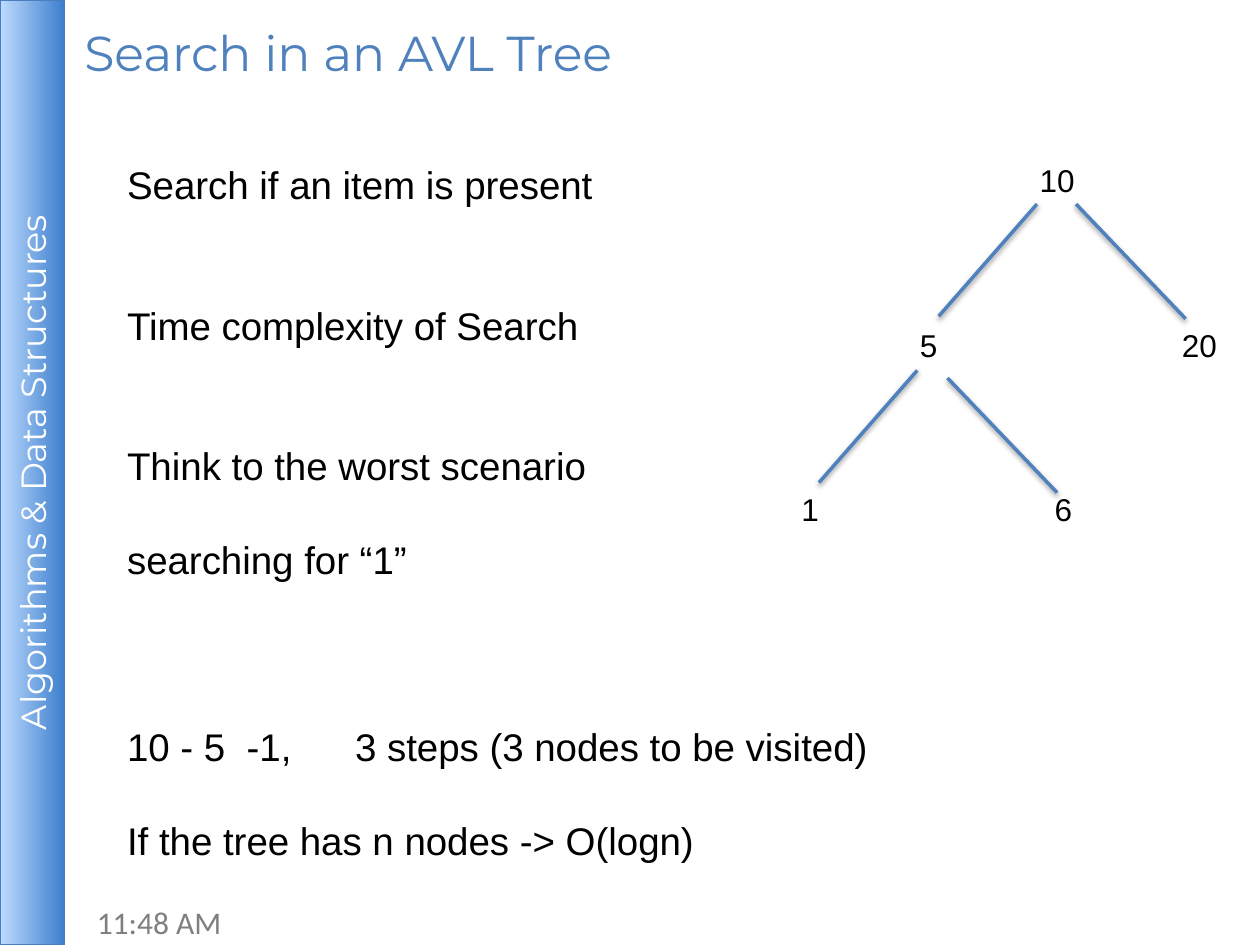
import pptx
import pptx.dml.color
import pptx.enum.shapes
import pptx.enum.text
import pptx.oxml
import pptx.oxml.ns
import pptx.util

ANCHOR = pptx.enum.text.MSO_ANCHOR
ALIGN = pptx.enum.text.PP_ALIGN
NAMESPACE = pptx.oxml.ns.nsdecls("a")
COLUMNS, ROWS = 100, 75
LINE_PITCH, LINE_HEIGHT = 26.4, 25.3

NODES = [("10", 83.9, 14.3), ("5", 73.7, 27.4), ("20", 95.2, 27.4),
         ("1", 64.3, 40.4), ("6", 84.4, 40.4)]
LEFT_BRANCH, RIGHT_BRANCH = (-7.8, 8.9), (8.7, 9.1)
EDGES = [(82.3, 16.2, LEFT_BRANCH), (85.4, 16.2, RIGHT_BRANCH),
         (72.8, 29.4, LEFT_BRANCH), (75.2, 30, RIGHT_BRANCH)]
STATEMENTS = [("Search if an item is present", 0),
              ("Time complexity of Search", 3),
              ("Think to the worst scenario", 3),
              ("searching for “1”", 2),
              ("10 - 5\t-1,\t3 steps (3 nodes to be visited)", 4),
              ("If the tree has n nodes -> O(logn)", 2)]
STEP_TABS = (0.95, 1.81)


def color(value):
    """Turn a hex string into a colour."""
    return pptx.dml.color.RGBColor.from_string(value)


class LectureSlide:
    """Hold the style and the current slide of the lecture."""

    accent, ink, muted, white = "4F81BD", "000000", "7F7F7F", "FFFFFF"
    body_font, heading_font, footer_font = "Arial", "Montserrat", "Calibri"

    def __init__(self, deck):
        """Start a title-only slide on the grid."""
        self.column = deck.slide_width / COLUMNS
        self.row = deck.slide_height / ROWS
        self.slide = deck.slides.add_slide(deck.slide_layouts[5])

    def place(self, left, top, width, height):
        """Convert grid units to slide lengths."""
        return (round(left * self.column), round(top * self.row),
                round(width * self.column), round(height * self.row))

    def style(self, paragraph, size, font, tint, align=ALIGN.LEFT):
        """Format a paragraph and its runs."""
        paragraph.alignment = align
        for run in paragraph.runs:
            run.font.size = pptx.util.Pt(size)
            run.font.name = font
            run.font.color.rgb = color(tint)

    def title(self, wording, *area):
        """Fill and move the title placeholder."""
        heading = self.slide.shapes.title
        heading.left, heading.top, heading.width, heading.height = self.place(*area)
        heading.text_frame.text = wording
        heading.text_frame.vertical_anchor = ANCHOR.MIDDLE
        self.style(heading.text_frame.paragraphs[0], 28, self.heading_font, self.accent)

    def band(self, wording, *area):
        """Draw the gradient side band with upward text."""
        band = self.slide.shapes.add_shape(
            pptx.enum.shapes.MSO_SHAPE.RECTANGLE, *self.place(*area))
        band.shadow.inherit = False
        band.fill.gradient()
        band.fill.gradient_angle = 0
        for stop, tint, position in zip(band.fill.gradient_stops, ("BDDBFE", "3E7FCD"), (0, 1)):
            stop.color.rgb = color(tint)
            stop.position = position
        band.line.color.rgb = color("4A7DBB")
        band.line.width = pptx.util.Pt(0.75)
        frame = band.text_frame
        frame.text = wording
        frame.vertical_anchor = ANCHOR.MIDDLE
        frame.margin_left = frame.margin_right = pptx.util.Inches(0.04)
        frame.margin_top = frame.margin_bottom = pptx.util.Inches(0.04)
        frame._txBody.bodyPr.set("vert", "vert270")
        self.style(frame.paragraphs[0], 20, self.heading_font, self.white, ALIGN.CENTER)

    def text(self, wording, area, size, font, tint, align=ALIGN.LEFT):
        """Add a wrapped text box and return its frame."""
        frame = self.slide.shapes.add_textbox(*self.place(*area)).text_frame
        frame.word_wrap = True
        frame.text = wording
        for paragraph in frame.paragraphs:
            self.style(paragraph, size, font, tint, align)
        return frame

    def statements(self, items, *area):
        """Add the statements, each a number of lines below the last."""
        wording = "\n".join(statement for statement, _ in items)
        frame = self.text(wording, area, 22, self.body_font, self.ink)
        for paragraph, (statement, lines) in zip(frame.paragraphs, items):
            if lines:
                paragraph.space_before = pptx.util.Pt(round(lines * LINE_PITCH - LINE_HEIGHT, 1))
            if "\t" in statement:
                stops = "".join(f'<a:tab pos="{pptx.util.Inches(stop)}" algn="l"/>'
                                for stop in STEP_TABS)
                paragraph._p.get_or_add_pPr().append(
                    pptx.oxml.parse_xml(f"<a:tabLst {NAMESPACE}>{stops}</a:tabLst>"))

    def node(self, key, center, middle):
        """Write a tree key around its centre."""
        self.text(key, (center - 3, middle - 2, 6, 4), 18, self.body_font, self.ink, ALIGN.CENTER)

    def edge(self, left, top, branch):
        """Draw a softly shadowed tree edge."""
        start_end = self.place(left, top, left + branch[0], top + branch[1])
        edge = self.slide.shapes.add_connector(
            pptx.enum.shapes.MSO_CONNECTOR.STRAIGHT, *start_end)
        edge.line.color.rgb = color(self.accent)
        edge.line.width = pptx.util.Pt(2)
        edge._element.spPr.append(pptx.oxml.parse_xml(
            f'<a:effectLst {NAMESPACE}><a:outerShdw blurRad="{pptx.util.Pt(3.1)}" '
            f'dist="{pptx.util.Pt(1.6)}" dir="5400000" rotWithShape="0">'
            f'<a:srgbClr val="{self.ink}"><a:alpha val="38000"/></a:srgbClr>'
            '</a:outerShdw></a:effectLst>'))


def main():
    """Build the AVL search slide."""
    deck = pptx.Presentation()
    deck.slide_width, deck.slide_height = pptx.util.Inches(10), pptx.util.Inches(7.5)
    lecture = LectureSlide(deck)
    lecture.text("11:48 AM", (6.7, 71.2, 23.3, 4), 18, lecture.footer_font, lecture.muted)
    lecture.band("Algorithms & Data Structures", 0, 0, 5.1, ROWS)
    lecture.title("Search in an AVL Tree", 5.7, 0.2, 75, 7.8)
    lecture.statements(STATEMENTS, 9.1, 12.3, 63.8, 56.5)
    for node in NODES:
        lecture.node(*node)
    for edge in EDGES:
        lecture.edge(*edge)
    deck.save("out.pptx")


if __name__ == "__main__":
    main()
